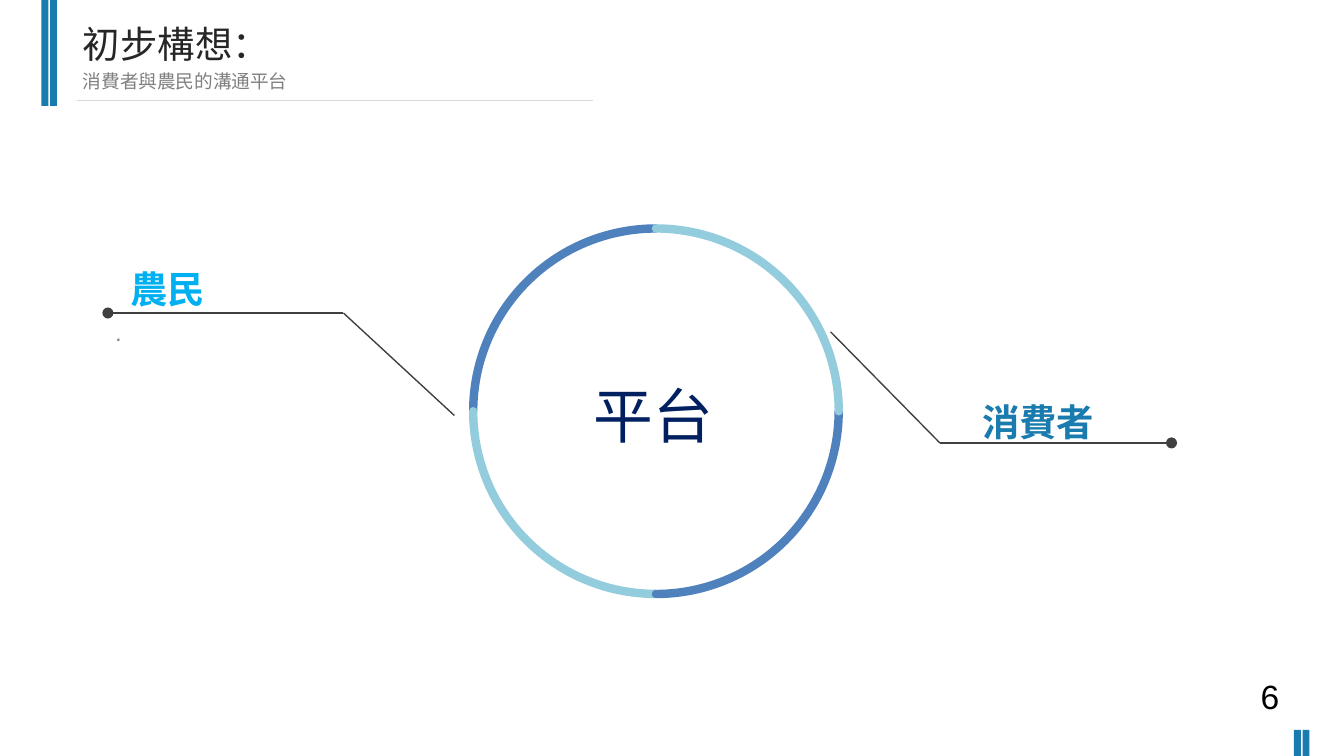
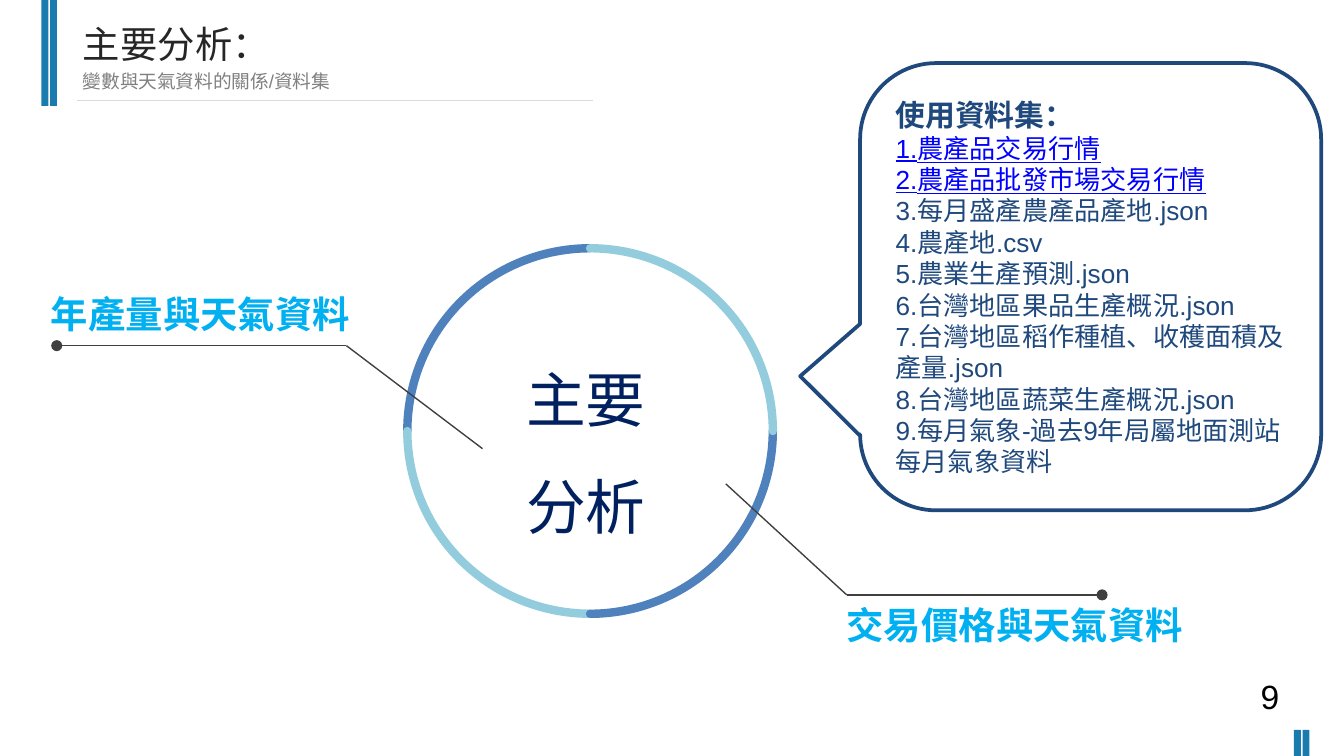
from dataclasses import dataclass

import pptx
import pptx.dml.color
import pptx.enum.shapes
import pptx.enum.text
import pptx.oxml.ns
import pptx.oxml.xmlchemy
import pptx.presentation
import pptx.shapes.autoshape
import pptx.slide
import pptx.text.text
import pptx.util

Pt = pptx.util.Pt
RGBColor = pptx.dml.color.RGBColor
MSO_SHAPE = pptx.enum.shapes.MSO_SHAPE
PP_ALIGN = pptx.enum.text.PP_ALIGN
MSO_ANCHOR = pptx.enum.text.MSO_ANCHOR
OxmlElement = pptx.oxml.xmlchemy.OxmlElement
qn = pptx.oxml.ns.qn

WHITE = RGBColor(0xFF, 0xFF, 0xFF)
BLACK = RGBColor(0x00, 0x00, 0x00)
BAND = RGBColor(0x1A, 0x7B, 0xAE)
RULE = RGBColor(0xD9, 0xD9, 0xD9)
TITLE = RGBColor(0x26, 0x26, 0x26)
GREY = RGBColor(0x80, 0x80, 0x80)
LEADER = RGBColor(0x40, 0x40, 0x40)
NAVY = RGBColor(0x00, 0x20, 0x60)
SKY = RGBColor(0x00, 0xB0, 0xF0)
RING_DARK = RGBColor(0x4F, 0x81, 0xBD)
RING_LIGHT = RGBColor(0x93, 0xCD, 0xDD)
CALLOUT = RGBColor(0x1F, 0x49, 0x7D)
LINK = RGBColor(0x00, 0x00, 0xFF)

BODY_FONT = "Arial"
TITLE_FONT = "Arial Narrow"
LABEL_FONT = "Noto Sans CJK SC"

SLIDE_W, SLIDE_H = 720, 405
RING_SIZE = 195.8

Point = tuple[float, float]


@dataclass(frozen=True)
class Box:
    left: float
    top: float
    width: float
    height: float

    def emu(self) -> tuple[int, ...]:
        return tuple(Pt(v) for v in (self.left, self.top, self.width, self.height))


@dataclass(frozen=True)
class Leader:
    """A bent line that starts with a dot, and the label beside it."""
    dot: Point
    bend: Point
    tip: Point
    label: str
    label_box: Box
    color: RGBColor = SKY


@dataclass(frozen=True)
class Ring:
    left: float
    top: float
    words: tuple[str, ...]
    words_box: Box


@dataclass(frozen=True)
class Topic:
    title: str
    subtitle: str
    number: int
    ring: Ring
    leaders: tuple[Leader, ...]


BANDS = (
    Box(22.2, 0, 3.7, 56.8),
    Box(26.8, 0, 3.7, 56.8),
    Box(693.2, 391, 3.7, 14),
    Box(697.8, 391, 3.7, 14),
)

PLATFORM = Topic(
    "初步構想：", "消費者與農民的溝通平台", 6,
    Ring(253.5, 122.4, ("平台",), Box(310.3, 180, 79.2, 58.3)),
    (
        Leader((57.8, 167.7), (184, 167.7), (243.4, 222.6),
               "農民", Box(62.6, 139, 152.6, 31.7)),
        Leader((627.6, 237.3), (503.5, 237.3), (445, 177.8),
               "消費者", Box(519.1, 210.2, 152.6, 31.7), BAND),
    ),
)

ANALYSIS = Topic(
    "主要分析：", "變數與天氣資料的關係/資料集", 9,
    Ring(218.2, 133, ("主要", "分析"), Box(274.3, 171.4, 79.2, 123.8)),
    (
        Leader((30.4, 185.2), (185.6, 185.2), (258.5, 240.4),
               "年產量與天氣資料", Box(20.2, 152.6, 180.7, 31.7)),
        Leader((590.4, 318.7), (453.6, 318.7), (388.8, 259.2),
               "交易價格與天氣資料", Box(446.4, 319, 229.7, 31.7)),
    ),
)

LINKED_SETS = ("農產品交易行情", "農產品批發市場交易行情")
PLAIN_SETS = (
    "每月盛產農產品產地.json",
    "農產地.csv",
    "農業生產預測.json",
    "台灣地區果品生產概況.json",
    "台灣地區稻作種植、收穫面積及產量.json",
    "台灣地區蔬菜生產概況.json",
    "每月氣象-過去9年局屬地面測站每月氣象資料",
)


def write(tf: pptx.text.text.TextFrame, text: str, *, size: float, color: RGBColor,
          font: str = BODY_FONT, bold: bool = False, underline: bool = False,
          align: PP_ALIGN = PP_ALIGN.LEFT, spacing: float = 1.0) -> None:
    """Fill the empty first paragraph, or append a new one."""
    p = tf.paragraphs[0] if not tf.paragraphs[0].runs else tf.add_paragraph()
    p.alignment, p.line_spacing = align, spacing
    r = p.add_run()
    r.text = text
    r.font.name, r.font.size = font, Pt(size)
    r.font.bold, r.font.underline = bold, underline
    r.font.color.rgb = color


def add_text(s: pptx.slide.Slide, box: Box, *lines: str, wrap: bool = True, **fmt) -> None:
    tf = s.shapes.add_textbox(*box.emu()).text_frame
    tf.word_wrap = wrap
    tf.auto_size = pptx.enum.text.MSO_AUTO_SIZE.SHAPE_TO_FIT_TEXT
    for line in lines:
        write(tf, line, **fmt)


def add_shape(s: pptx.slide.Slide, kind: MSO_SHAPE, box: Box, *,
              fill: RGBColor | None = None, line: RGBColor | None = None,
              width: float = 0) -> pptx.shapes.autoshape.Shape:
    sp = s.shapes.add_shape(kind, *box.emu())
    sp.shadow.inherit = False
    if fill is None:
        sp.fill.background()
    else:
        sp.fill.solid()
        sp.fill.fore_color.rgb = fill
    if line is None:
        sp.line.fill.background()
    else:
        sp.line.color.rgb = line
        sp.line.width = Pt(width)
    return sp


def add_line(s: pptx.slide.Slide, start: Point, end: Point, color: RGBColor,
             dot: bool = False) -> None:
    ends = (Pt(v) for v in (*start, *end))
    cxn = s.shapes.add_connector(pptx.enum.shapes.MSO_CONNECTOR.STRAIGHT, *ends)
    cxn.line.color.rgb = color
    cxn.line.width = Pt(0.75)
    sp_pr = cxn._element.find(qn("p:spPr"))
    if dot:
        head = OxmlElement("a:headEnd")
        head.set("type", "oval")
        sp_pr.find(qn("a:ln")).append(head)
    sp_pr.append(OxmlElement("a:effectLst"))


def add_frame(s: pptx.slide.Slide, topic: Topic) -> None:
    """Draw the bands, title, subtitle, rule and page number."""
    s.background.fill.solid()
    s.background.fill.fore_color.rgb = WHITE
    for band in BANDS:
        add_shape(s, MSO_SHAPE.RECTANGLE, band, fill=BAND)
    add_line(s, (41.3, 53.7), (317.5, 53.7), RULE)
    add_text(s, Box(37.4, 7.9, 304.6, 31.7), topic.title,
             size=20, color=TITLE, font=TITLE_FONT)
    add_text(s, Box(37.4, 33.8, 304.6, 19.4), topic.subtitle, size=10, color=GREY)
    add_text(s, Box(668.2, 358.6, 24.5, 28.8), str(topic.number),
             size=18, color=BLACK, wrap=False)


def add_ring(s: pptx.slide.Slide, ring: Ring) -> None:
    """Draw four quarter arcs in alternating colours around the words."""
    box = Box(ring.left, ring.top, RING_SIZE, RING_SIZE)
    for rotation in (0, 270, 180, 90):
        color = RING_LIGHT if rotation % 180 else RING_DARK
        arc = add_shape(s, MSO_SHAPE.ARC, box, line=color, width=4.5)
        arc.adjustments[0], arc.adjustments[1] = 108, 162
        arc.rotation = rotation
        arc._element.find(qn("p:spPr")).find(qn("a:ln")).set("cap", "rnd")
    add_text(s, ring.words_box, *ring.words, size=32, color=NAVY,
             align=PP_ALIGN.CENTER, spacing=1.5, wrap=False)


def add_leader(s: pptx.slide.Slide, leader: Leader) -> None:
    add_line(s, leader.dot, leader.bend, LEADER, dot=True)
    add_line(s, leader.bend, leader.tip, LEADER)
    add_text(s, leader.label_box, leader.label, size=20, color=leader.color,
             font=LABEL_FONT, bold=True)


def add_topic(prs: pptx.presentation.Presentation, topic: Topic) -> pptx.slide.Slide:
    s = prs.slides.add_slide(prs.slide_layouts[6])
    add_frame(s, topic)
    add_ring(s, topic.ring)
    for leader in topic.leaders:
        add_leader(s, leader)
    return s


def add_data_sets(s: pptx.slide.Slide) -> None:
    """Draw the callout with the numbered list of data sets."""
    sp = add_shape(s, MSO_SHAPE.ROUNDED_RECTANGULAR_CALLOUT,
                   Box(460.8, 33.8, 247, 239.6), line=CALLOUT, width=2)
    for i, value in enumerate((-0.63, 0.2, 0.17)):
        sp.adjustments[i] = value
    tf = sp.text_frame
    tf.word_wrap = True
    tf.vertical_anchor = MSO_ANCHOR.MIDDLE
    write(tf, "使用資料集：", size=16, color=CALLOUT, bold=True)
    for i, name in enumerate(LINKED_SETS + PLAIN_SETS, start=1):
        linked = name in LINKED_SETS
        write(tf, f"{i}.{name}", size=14, color=LINK if linked else CALLOUT,
              underline=linked)


def main() -> None:
    prs = pptx.Presentation()
    prs.slide_width, prs.slide_height = Pt(SLIDE_W), Pt(SLIDE_H)
    platform = add_topic(prs, PLATFORM)
    add_text(platform, Box(54.7, 163.4, 152.6, 25.9), ".",
             size=12, color=GREY, spacing=1.3)
    add_data_sets(add_topic(prs, ANALYSIS))
    prs.save("out.pptx")


if __name__ == "__main__":
    main()
